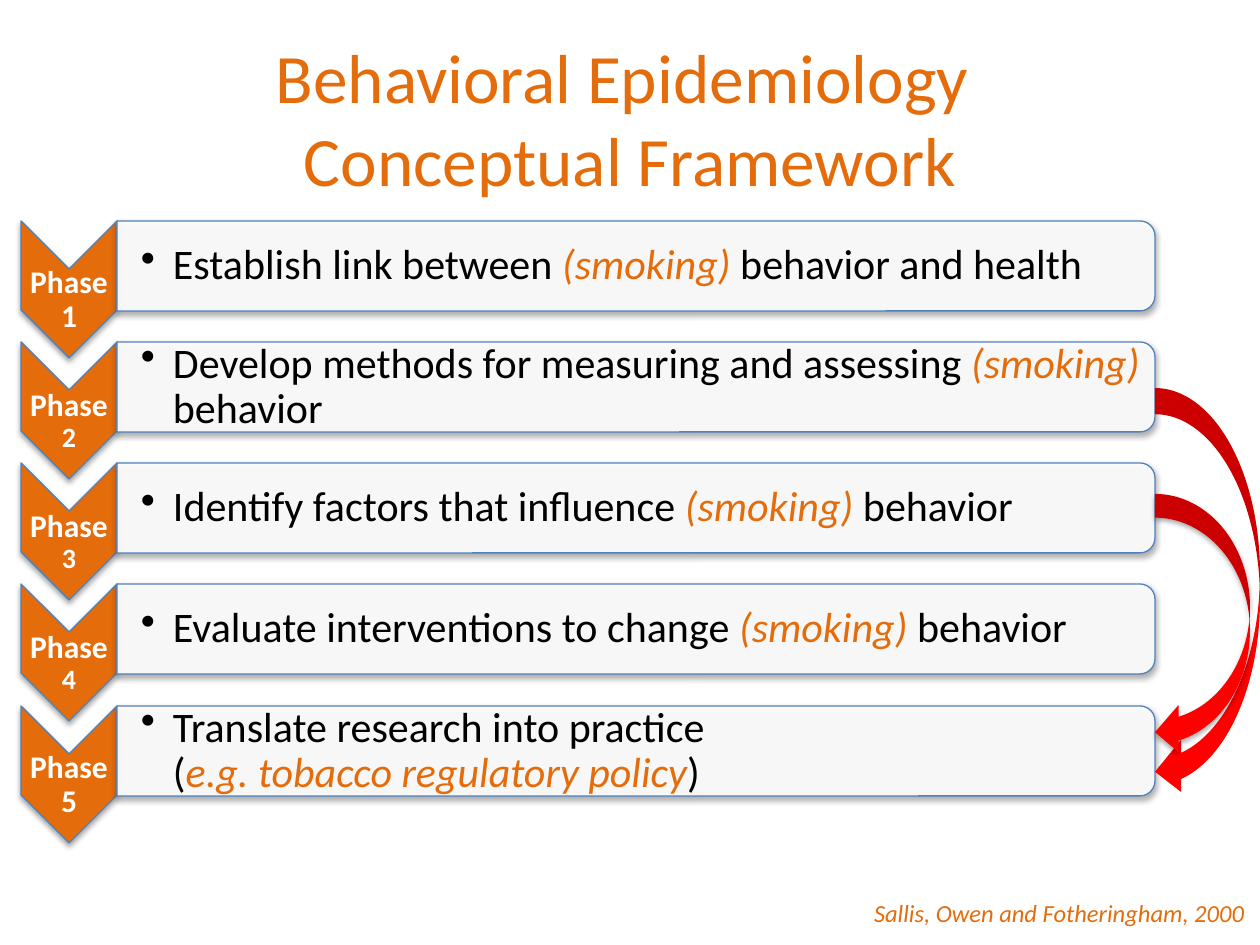
"""Build the Behavioral Epidemiology Conceptual Framework slide."""
from lxml import etree
from pptx import Presentation
from pptx.dml.color import RGBColor
from pptx.enum.shapes import MSO_SHAPE
from pptx.enum.text import MSO_ANCHOR, MSO_AUTO_SIZE, PP_ALIGN
from pptx.oxml.ns import qn
from pptx.util import Pt

CHEVRON = MSO_SHAPE.CHEVRON
PANEL = MSO_SHAPE.ROUND_2_SAME_RECTANGLE
CURVED_ARROW = MSO_SHAPE.CURVED_LEFT_ARROW
MIDDLE, TOP = MSO_ANCHOR.MIDDLE, MSO_ANCHOR.TOP
CENTER, LEFT = PP_ALIGN.CENTER, PP_ALIGN.LEFT
NO_AUTOFIT = MSO_AUTO_SIZE.NONE

ORANGE, BLUE, WHITE, BLACK, RED = "E46C0A", "4F81BD", "FFFFFF", "000000", "FF0000"
FIRST_ROW_TOP, ROWS_SPAN, ROW_STEPS = 221, 485, 4
SMOKING = ("(smoking)", ORANGE, True)

PHASES = [
    (18, [("Establish link between ", BLACK, False), SMOKING,
          (" behavior and health", BLACK, False)]),
    (16, [("Develop methods for measuring and assessing ", BLACK, False), SMOKING,
          (" behavior", BLACK, False)]),
    (16, [("Identify factors that influence ", BLACK, False), SMOKING,
          (" behavior", BLACK, False)]),
    (16, [("Evaluate interventions to change ", BLACK, False), SMOKING,
          (" behavior", BLACK, False)]),
    (18, [("Translate research into practice\n(", BLACK, False),
          ("e.g. tobacco regulatory policy", ORANGE, True), (")", BLACK, False)]),
]


def px(length):
    """Turn slide pixels into EMU."""
    return round(length * 914400 / 126)


def color(code):
    """Turn a hex string into a colour."""
    return RGBColor.from_string(code)


def apply(target, values):
    """Set every named value on the target."""
    for name, value in values.items():
        setattr(target, name, value)


class SlideBuilder:
    """Hold the style and the current slide."""

    font_name = "Calibri"

    def __init__(self, slide):
        """Keep the slide to draw on."""
        self.slide = slide

    def style(self, font, size, code, bold=False, italic=False):
        """Format one font."""
        apply(font, {"name": self.font_name, "size": Pt(size), "bold": bold, "italic": italic})
        font.color.rgb = color(code)

    def add_words(self, paragraph, words, *look):
        """Add styled text, breaking lines at newlines."""
        for index, line in enumerate(words.split("\n")):
            if index:
                paragraph.add_line_break()
            run = paragraph.add_run()
            run.text = line
            self.style(run.font, *look)

    def title(self, box, words, size, code):
        """Place and fill the title placeholder."""
        heading = self.slide.shapes.title
        apply(heading, dict(zip(("left", "top", "width", "height"), map(px, box))))
        frame = heading.text_frame
        apply(frame, {"vertical_anchor": MIDDLE, "word_wrap": True, "auto_size": NO_AUTOFIT})
        paragraph = frame.paragraphs[0]
        paragraph.alignment = CENTER
        self.add_words(paragraph, words, size, code)

    def text(self, box, margins, anchor=MIDDLE, align=LEFT, spacing=0.9, wrap=True):
        """Add a text box and return its paragraph."""
        frame = self.slide.shapes.add_textbox(*map(px, box)).text_frame
        sides = ("margin_left", "margin_top", "margin_right", "margin_bottom")
        apply(frame, dict(zip(sides, map(px, margins))))
        apply(frame, {"word_wrap": wrap, "vertical_anchor": anchor})
        paragraph = frame.paragraphs[0]
        apply(paragraph, {"alignment": align, "line_spacing": spacing})
        return paragraph

    def bullet(self, paragraph, indent):
        """Give a paragraph a hanging bullet."""
        properties = paragraph._p.get_or_add_pPr()
        properties.set("marL", str(px(indent)))
        properties.set("indent", str(-px(indent)))
        etree.SubElement(properties, qn("a:buChar")).set("char", "•")

    def shape(self, kind, box, fill, line=None, opacity=100, shadow=True):
        """Add a filled preset shape."""
        item = self.slide.shapes.add_shape(kind, *map(px, box))
        item.shadow.inherit = False
        item.fill.solid()
        item.fill.fore_color.rgb = color(fill)
        if opacity < 100:
            shade = item._element.spPr.find(qn("a:solidFill"))[0]
            etree.SubElement(shade, qn("a:alpha")).set("val", str(opacity * 1000))
        if line:
            item.line.color.rgb = color(line)
            item.line.width = Pt(0.75)
        else:
            item.line.fill.background()
        if shadow:
            self.cast_shadow(item)
        return item

    def cast_shadow(self, item):
        """Add a soft shadow below a shape."""
        effects = item._element.spPr.find(qn("a:effectLst"))
        values = {"blurRad": "40000", "dist": "23000", "dir": "5400000", "rotWithShape": "0"}
        outer = etree.SubElement(effects, qn("a:outerShdw"), values)
        shade = etree.SubElement(outer, qn("a:srgbClr"), {"val": BLACK})
        etree.SubElement(shade, qn("a:alpha"), {"val": "35000"})

    def turned(self, kind, box, *look):
        """Add a shape turned a quarter so that it covers the box."""
        left, top, width, height = box
        shift = (width - height) / 2
        item = self.shape(kind, (left + shift, top - shift, height, width), *look)
        item.rotation = 90

    def phase(self, number, top, digit_size, parts):
        """Add one phase row with its chevron and statement."""
        self.turned(CHEVRON, (21, top, 96, 137), ORANGE, BLUE)
        label = self.text((21, top + 44, 96, 70), (1, 1, 1, 1), align=CENTER)
        self.add_words(label, "Phase", 18, WHITE, True)
        self.add_words(label, f" {number}", digit_size, WHITE, True)
        self.turned(PANEL, (117, top, 1038, 90), WHITE, BLUE, 90)
        statement = self.text((117, top + 5, 1033, 80), (24, 2, 2, 2))
        self.bullet(statement, 32)
        for words, code, italic in parts:
            self.add_words(statement, words, 24, code, False, italic)


def main():
    """Build and save the slide."""
    deck = Presentation()
    apply(deck, {"slide_width": px(1260), "slide_height": px(945)})
    builder = SlideBuilder(deck.slides.add_slide(deck.slide_layouts[5]))
    builder.title((63, 38, 1134, 158), "Behavioral Epidemiology \nConceptual Framework",
                  39.6, ORANGE)
    for index, (digit_size, parts) in enumerate(PHASES):
        top = FIRST_ROW_TOP + ROWS_SPAN * index // ROW_STEPS
        builder.phase(index + 1, top, digit_size, parts)
    citation = builder.text((861, 892, 399, 43), (13, 6, 13, 6), TOP, spacing=1.0, wrap=False)
    builder.add_words(citation, "Sallis, Owen and Fotheringham, 2000", 14, ORANGE, False, True)
    builder.shape(CURVED_ARROW, (1155, 388, 105, 410), RED, shadow=False)
    builder.shape(CURVED_ARROW, (1155, 494, 95, 262), RED)
    deck.save("out.pptx")


if __name__ == "__main__":
    main()
